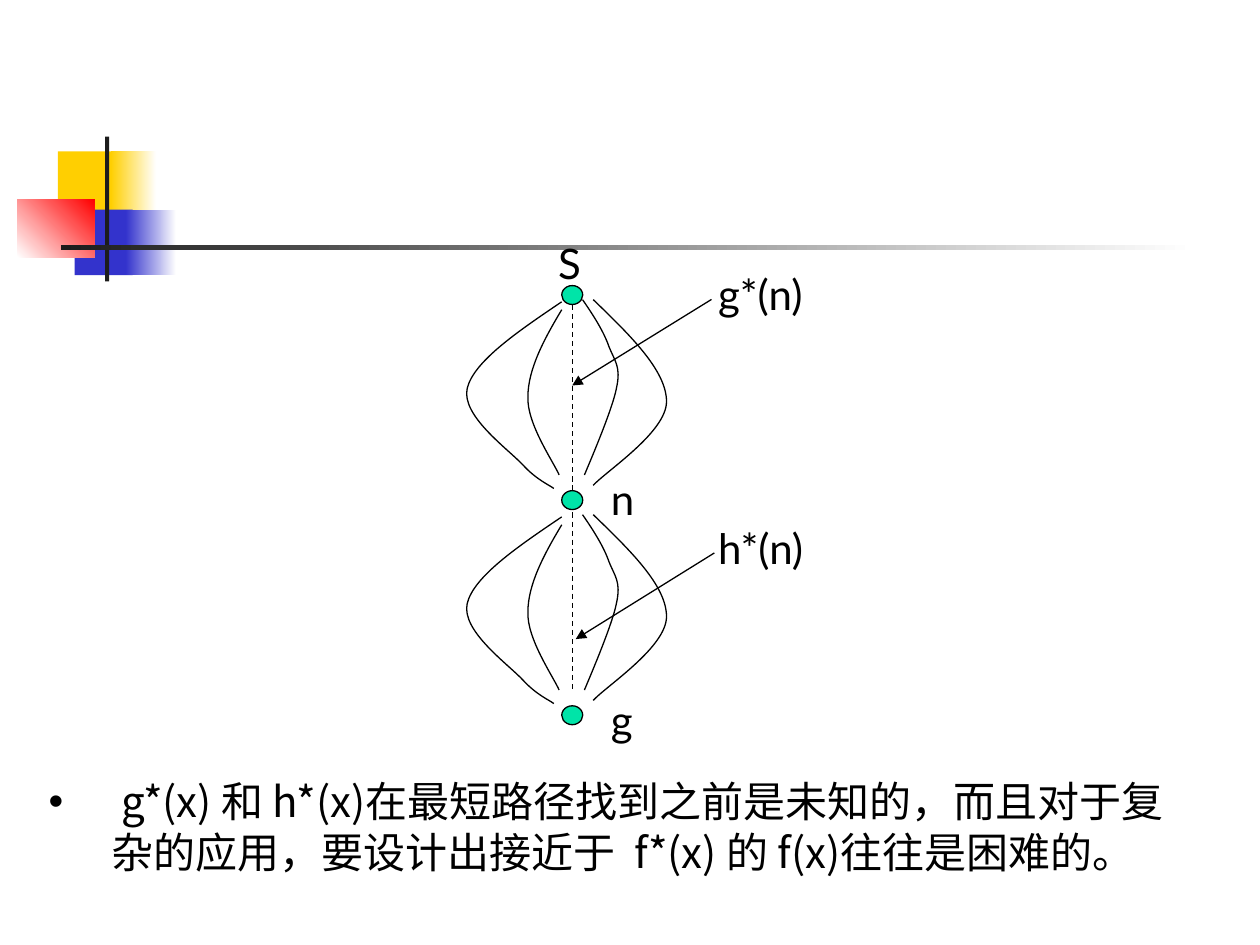
from lxml import etree
from pptx import Presentation
from pptx.dml.color import RGBColor
from pptx.enum.dml import MSO_LINE
from pptx.enum.shapes import MSO_CONNECTOR, MSO_SHAPE
from pptx.enum.text import MSO_ANCHOR, MSO_AUTO_SIZE, PP_ALIGN
from pptx.oxml.ns import qn
from pptx.util import Pt

RECT, OVAL = MSO_SHAPE.RECTANGLE, MSO_SHAPE.OVAL
LINE, DASH = MSO_CONNECTOR.STRAIGHT, MSO_LINE.DASH
TOP, LEFT = MSO_ANCHOR.TOP, PP_ALIGN.LEFT
NO_FIT = MSO_AUTO_SIZE.NONE

COLORS = {
    "black": "000000", "white": "FFFFFF", "dark": "1C1C1C", "gold": "FFCF01",
    "blue": "3333CC", "red": "FF0000", "node": "00E4A8",
}
FRAME = {"word_wrap": True, "auto_size": NO_FIT, "vertical_anchor": TOP}
LABEL = {"name": "Lato", "size": Pt(24), "bold": False}
BODY = {**LABEL, "name": "Noto Sans CJK JP"}
NOTE = (" g*(x) 和 h*(x)在最短路径找到之前是未知的，而且对于复杂的应用，"
        "要设计出接近于  f*(x) 的 f(x)往往是困难的。")

# Left, top, width, height, colours (two make a gradient), angle
DECOR = [
    (33.1, 86.5, 34.6, 37.4, ("gold",), 0),
    (63.4, 86.5, 25.9, 37.4, ("gold", "white"), 0),
    (42.7, 119.8, 33.1, 37.4, ("blue",), 0),
    (72, 119.8, 28.8, 37.4, ("blue", "white"), 0),
    (10, 113.8, 44, 33.1, ("white", "red"), 45),
    (60, 78, 2.4, 82.8, ("dark",), 0),
    (34.8, 140.2, 648, 2.4, ("dark", "white"), 0),
]
# Start point, then two control points and an end point for each bend
PATHS = [
    [(321, 172.5), (296, 189.4), (270.7, 206.6), (267, 222),
     (263.5, 237.6), (290, 256.3), (298.8, 265.7),
     (306.7, 274.3), (314, 277.2), (316.5, 279.2)],
    [(321, 177), (311, 193.7), (301.7, 211), (301.7, 226.8),
     (301, 242), (316, 263.5), (319.5, 271.4)],
    [(332.9, 171.2), (339, 180), (345, 189.4), (348, 198),
     (351.4, 206.6), (355, 209.5), (352.3, 221.8),
     (350, 234), (337, 264.2), (334, 271.4)],
    [(339, 171.2), (360, 191.5), (380.9, 211.7), (380.9, 229.5),
     (380.9, 247), (346.3, 269.3), (339, 277.4)],
]
DROP = 122.9  # from the upper bundle of paths to the lower one
NODES = [163.2, 280.4, 403.3]
LABELS = [
    ("S", 311.8, 132.1, 37.5), ("n", 342, 267, 37.5), ("g", 342, 393.3, 65),
    ("g*(n)", 403.2, 149.9, 68), ("h*(n)", 403.2, 294.8, 68),
]
ARROWS = [(406.6, 171.1, 327, 220.3), (408.2, 316, 329, 365.2)]


def rgb(key):
    return RGBColor.from_string(COLORS[key])


def apply(item, style):
    for key, val in style.items():
        setattr(item, key, val)


def ink(line):
    line.color.rgb = rgb("black")
    line.width = Pt(0.75)


def add_block(slide, kind, box, hues, angle=0):
    shape = slide.shapes.add_shape(kind, *map(Pt, box))
    shape.shadow.inherit = False
    shape.line.fill.background()
    if len(hues) == 1:
        shape.fill.solid()
        shape.fill.fore_color.rgb = rgb(hues[0])
    else:
        shape.fill.gradient()
        shape.fill.gradient_angle = angle
        for stop, hue in zip(shape.fill.gradient_stops, hues):
            stop.color.rgb = rgb(hue)
    return shape


def add_line(slide, ends, dash=None, arrow=False):
    link = slide.shapes.add_connector(LINE, *map(Pt, ends))
    ink(link.line)
    if dash:
        link.line.dash_style = dash
    if arrow:
        etree.SubElement(link.line._get_or_add_ln(), qn("a:tailEnd"), type="triangle")
    etree.SubElement(link._element.spPr, qn("a:effectLst"))


def add_curve(slide, path, drop):
    pts = [(Pt(x), Pt(y + drop)) for x, y in path]
    pen = slide.shapes.build_freeform(*pts[0])
    pen.add_line_segments(pts[1:], close=False)
    shape = pen.convert_to_shape()
    # Join each three segments into one cubic bend
    segs = list(shape._element.iter(qn("a:lnTo")))
    for i in range(0, len(segs), 3):
        trio = segs[i:i + 3]
        bend = etree.SubElement(trio[0].getparent(), qn("a:cubicBezTo"))
        for seg in trio:
            bend.append(seg[0])
            seg.getparent().remove(seg)
    shape.shadow.inherit = False
    shape.fill.background()
    ink(shape.line)


def set_text(frame, text, style):
    apply(frame, FRAME)
    para = frame.paragraphs[0]
    para.alignment = LEFT
    para.space_before = Pt(0)
    run = para.add_run()
    run.text = text
    apply(run.font, style)
    run.font.color.rgb = rgb("black")
    return para, run


def add_label(slide, text, x, y, wide):
    box = slide.shapes.add_textbox(Pt(x), Pt(y), Pt(wide), Pt(36))
    set_text(box.text_frame, text, LABEL)


def fill_body(hold):
    apply(hold, {"left": Pt(20.6), "top": Pt(439.2), "width": Pt(658), "height": Pt(65.5)})
    para, run = set_text(hold.text_frame, NOTE, BODY)
    para.line_spacing = Pt(29.2)
    props = para._p.get_or_add_pPr()
    props.set("marL", str(Pt(36)))
    props.set("indent", str(-Pt(36)))
    etree.SubElement(props, qn("a:buChar"), char="•")
    etree.SubElement(run._r.get_or_add_rPr(), qn("a:ea"), typeface=BODY["name"])


def main():
    deck = Presentation()
    deck.slide_width, deck.slide_height = Pt(720), Pt(540)
    slide = deck.slides.add_slide(deck.slide_layouts[1])
    title = slide.shapes.title._element
    title.getparent().remove(title)

    # Corner blocks and rule
    for *box, hues, angle in DECOR:
        add_block(slide, RECT, box, hues, angle)

    # Shortest path and the other paths
    add_line(slide, (327, 174.2, 327, 394.6), dash=DASH)
    for drop in (0, DROP):
        for path in PATHS:
            add_curve(slide, path, drop)

    # Nodes, labels and pointers
    for y in NODES:
        ink(add_block(slide, OVAL, (321, y, 12, 10.8), ("node",)).line)
    for label in LABELS:
        add_label(slide, *label)
    for ends in ARROWS:
        add_line(slide, ends, arrow=True)

    # Remark below the graph
    fill_body(slide.placeholders[1])
    deck.save("out.pptx")


if __name__ == "__main__":
    main()
